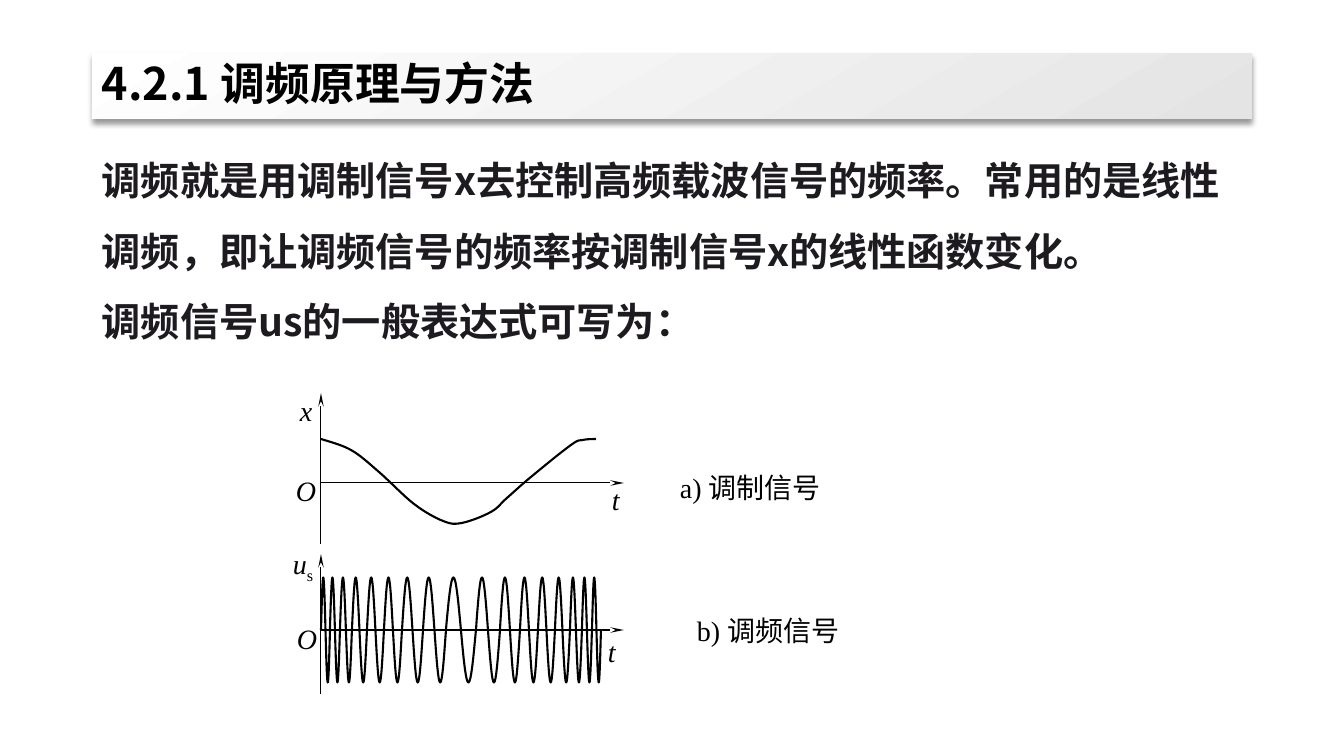
from math import pi, sin

from lxml import etree
from pptx import Presentation
from pptx.dml.color import RGBColor
from pptx.enum.shapes import MSO_CONNECTOR, MSO_SHAPE
from pptx.enum.text import MSO_ANCHOR, PP_ALIGN
from pptx.oxml.ns import qn
from pptx.util import Pt

RECTANGLE = MSO_SHAPE.RECTANGLE
STRAIGHT = MSO_CONNECTOR.STRAIGHT
MIDDLE, TOP = MSO_ANCHOR.MIDDLE, MSO_ANCHOR.TOP
LEFT, JUSTIFY = PP_ALIGN.LEFT, PP_ALIGN.JUSTIFY
EMU_PER_PX = 914400 / 100.8


class Theme:
    black = RGBColor(0x00, 0x00, 0x00)
    body_ink = RGBColor(0x1D, 0x1B, 0x1F)
    banner = (RGBColor(0xFF, 0xFF, 0xFF), RGBColor(0xE4, 0xE4, 0xE4))
    sans, serif = "Noto Sans CJK SC", "Times New Roman"
    title = dict(name=sans, size=Pt(32), bold=True)
    body = dict(name=sans, size=Pt(28), bold=True)
    symbol = dict(name=serif, size=Pt(20), italic=True)
    caption = dict(name=serif, size=Pt(20))
    curve_width, axis_width = Pt(1.5), Pt(0.75)


def px(length):
    return round(length * EMU_PER_PX)


def add_run(paragraph, text, style, color):
    run = paragraph.add_run()
    run.text = text
    for attribute, value in style.items():
        setattr(run.font, attribute, value)
    run.font.color.rgb = color
    if style["name"] == Theme.sans:
        east_asian = etree.SubElement(run.font._element, qn("a:ea"))
        east_asian.set("typeface", Theme.sans)
    return run


def write(frame, lines, style, color=Theme.black, anchor=TOP, align=LEFT, spacing=1.0):
    frame.word_wrap = True
    frame.vertical_anchor = anchor
    for index, line in enumerate(lines):
        paragraph = frame.add_paragraph() if index else frame.paragraphs[0]
        paragraph.alignment = align
        paragraph.line_spacing = spacing
        add_run(paragraph, line, style, color)


def add_text(slide, box, lines, style, **layout):
    frame = slide.shapes.add_textbox(*map(px, box)).text_frame
    write(frame, lines, style, **layout)
    return frame


def add_banner(slide, box, heading):
    banner = slide.shapes.add_shape(RECTANGLE, *map(px, box))
    banner.line.fill.background()
    banner.fill.gradient()
    banner.fill.gradient_angle = 300
    for stop, color in zip(banner.fill.gradient_stops, Theme.banner):
        stop.color.rgb = color
    # Soft shadow straight below
    banner.shadow.inherit = False
    effects = banner._element.spPr.find(qn("a:effectLst"))
    shadow = etree.SubElement(effects, qn("a:outerShdw"), blurRad=str(Pt(4)),
                              dist=str(Pt(3)), dir="5400000", rotWithShape="0")
    tint = etree.SubElement(shadow, qn("a:srgbClr"), val="000000")
    etree.SubElement(tint, qn("a:alpha"), val="40000")
    write(banner.text_frame, [heading], Theme.title, anchor=MIDDLE, spacing=0.9)


def add_axis(slide, start, end):
    axis = slide.shapes.add_connector(STRAIGHT, *map(px, start + end))
    axis.line.color.rgb = Theme.black
    axis.line.width = Theme.axis_width
    etree.SubElement(axis.line._get_or_add_ln(), qn("a:tailEnd"),
                     type="stealth", w="sm", len="lg")
    etree.SubElement(axis._element.spPr, qn("a:effectLst"))


def add_curve(slide, points):
    start, *rest = [(px(x), px(y)) for x, y in points]
    builder = slide.shapes.build_freeform(*start)
    builder.add_line_segments(rest, close=False)
    curve = builder.convert_to_shape()
    curve.fill.background()
    curve.line.color.rgb = Theme.black
    curve.line.width = Theme.curve_width
    curve.shadow.inherit = False


def smooth(anchors, steps=8):
    """Catmull-Rom spline through the anchors."""
    padded = [anchors[0], *anchors, anchors[-1]]
    points = []
    for a, b, c, d in zip(padded, padded[1:], padded[2:], padded[3:]):
        for step in range(steps):
            t = step / steps
            points.append(tuple(
                q + t * (r - p) / 2
                + t * t * (2 * p - 5 * q + 4 * r - s) / 2
                + t ** 3 * (3 * q - p - 3 * r + s) / 2
                for p, q, r, s in zip(a, b, c, d)))
    return points + [anchors[-1]]


def sine_cycle(start, end, zero, amplitude, steps=32):
    return [(start + (end - start) * i / steps,
             zero - amplitude * sin(2 * pi * i / steps)) for i in range(steps + 1)]


def add_plot(slide, box, zero, curves, symbols, caption, caption_box):
    """Axes, curves and labels; all offsets count from the top left of the box."""
    left, top, width, height = box
    for curve in curves:
        add_curve(slide, [(left + x, top + y) for x, y in curve])
    add_axis(slide, (left, top + zero), (left + width, top + zero))
    add_axis(slide, (left, top + height), (left, top))
    for symbol, subscript, x, y in symbols:
        frame = add_text(slide, (left + x, top + y, 50, 48), [symbol],
                         Theme.symbol, align=JUSTIFY)
        if subscript:
            run = add_run(frame.paragraphs[0], subscript, Theme.caption, Theme.black)
            run.font._element.set("baseline", "-25000")
    x, y, *size = caption_box
    add_text(slide, (left + x, top + y, *size), [caption], Theme.caption, align=JUSTIFY)


def add_modulating_plot(slide, box):
    anchors = [(0, 46), (30, 57), (58, 79), (93, 111), (122, 128), (141, 130),
               (170, 119), (186, 105), (210, 84), (250, 52), (262, 47), (275, 46)]
    symbols = [("x", "", -31, -4), ("t", "", 281, 85), ("O", "", -35, 76)]
    add_plot(slide, box, 90, [smooth(anchors)], symbols,
             "a) 调制信号", (349, 73, 183, 51))


def add_modulated_plot(slide, box):
    zero, amplitude = 76, 52.5
    crossings = [0, 9, 19, 31, 46, 63, 81, 102, 125,
                 155, 179, 199, 217, 234, 249, 261, 271, 280]
    cycles = [sine_cycle(start, end, zero, amplitude)
              for start, end in zip(crossings, crossings[1:])]
    symbols = [("u", "s", -38, -12), ("t", "", 277, 76), ("O", "", -34, 63)]
    add_plot(slide, box, zero, cycles, symbols, "b) 调频信号", (366, 55, 192, 51))


def main():
    deck = Presentation()
    deck.slide_width, deck.slide_height = px(1344), px(756)
    slide = deck.slides.add_slide(deck.slide_layouts[6])
    # Heading and explanation
    add_banner(slide, (92, 53, 1160, 66), "4.2.1 调频原理与方法")
    add_text(slide, (92, 128, 1160, 552), [
        "调频就是用调制信号x去控制高频载波信号的频率。常用的是线性调频，"
        "即让调频信号的频率按调制信号x的线性函数变化。",
        "调频信号us的一般表达式可写为：",
    ], Theme.body, color=Theme.body_ink, spacing=1.5)
    # Signals over time
    add_modulating_plot(slide, (321, 393, 303, 151))
    add_modulated_plot(slide, (321, 554, 303, 140))
    deck.save("out.pptx")


if __name__ == "__main__":
    main()
